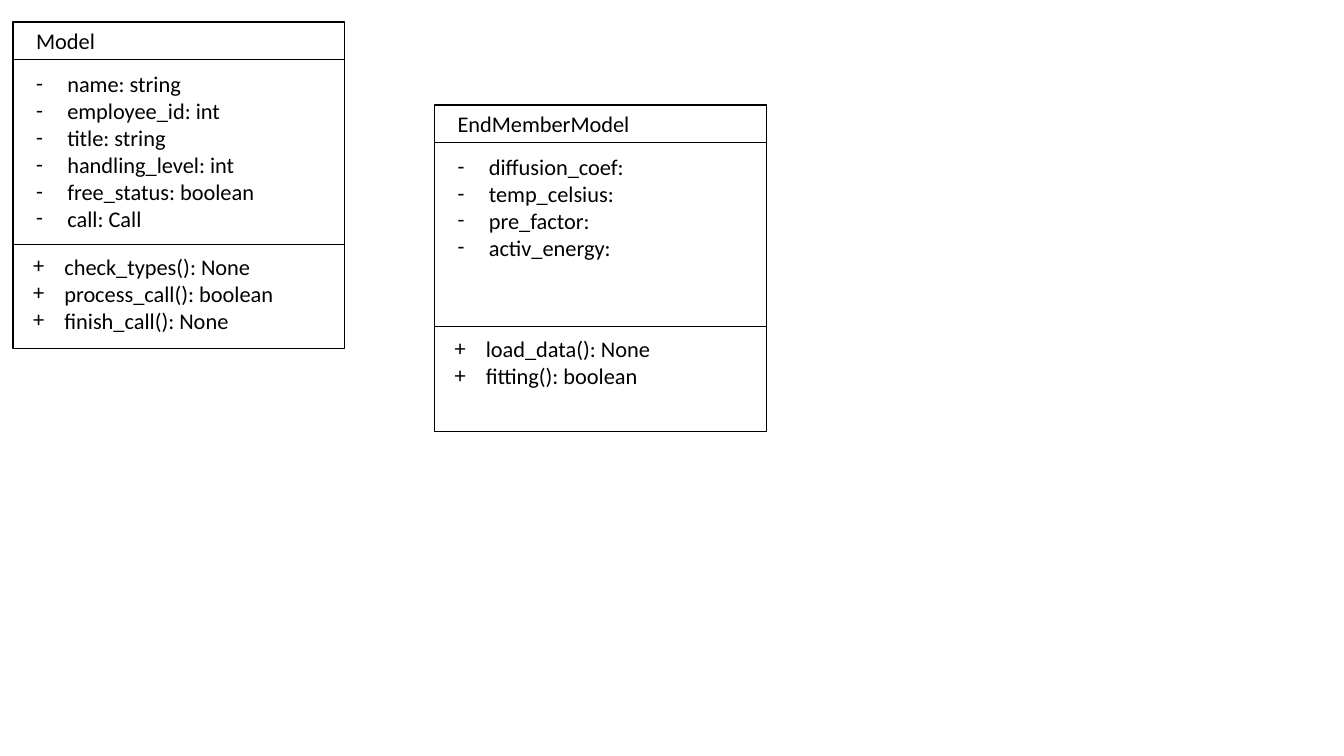
import pptx
import pptx.util
import pptx.dml.color
import pptx.enum.shapes
import pptx.enum.text
import pptx.oxml.ns
from lxml import etree

Inches = pptx.util.Inches
Pt = pptx.util.Pt
qn = pptx.oxml.ns.qn


def rgb(value):
    return pptx.dml.color.RGBColor.from_string(value)


def add_lines(left, top, width, height, lines, bullet=None):
    tb = s.shapes.add_textbox(Inches(left), Inches(top), Inches(width), Inches(height))
    tf = tb.text_frame
    tf.text = "\n".join(lines)
    tf.word_wrap = True
    tf.auto_size = pptx.enum.text.MSO_AUTO_SIZE.SHAPE_TO_FIT_TEXT
    for p in tf.paragraphs:
        for r in p.runs:
            r.font.name = "Calibri"
            r.font.size = Pt(16)
            r.font.color.rgb = rgb("000000")
        if bullet:
            pPr = p._p.get_or_add_pPr()
            pPr.set("marL", str(Inches(0.31)))
            pPr.set("indent", str(-Inches(0.31)))
            etree.SubElement(pPr, qn("a:buFont")).set("typeface", "Calibri")
            etree.SubElement(pPr, qn("a:buChar")).set("char", bullet)


prs = pptx.Presentation()
prs.slide_width = Inches(13.33)
prs.slide_height = Inches(7.5)
s = prs.slides.add_slide(prs.slide_layouts[6])

# Class boxes: left, top, then (lines, text width, text height) per compartment
classes = [
    (0.13, 0.22,
     (["Model"], 0.79, 0.37),
     (["name: string", "employee_id: int", "title: string",
       "handling_level: int", "free_status: boolean", "call: Call"], 2.4, 1.72),
     (["check_types(): None", "process_call(): boolean", "finish_call(): None"], 2.62, 0.91)),
    (4.31, 1.04,
     (["EndMemberModel"], 1.93, 0.37),
     (["diffusion_coef:", "temp_celsius:", "pre_factor:", "activ_energy:"], 1.88, 1.18),
     (["load_data(): None", "fitting(): boolean"], 2.17, 0.64)),
]
BOX_W, BOX_H = 3.29, 3.24

for left, top, title, attributes, methods in classes:
    # Name and attributes
    add_lines(left + 0.13, top, title[1], title[2], title[0])
    add_lines(left + 0.13, top + 0.43, attributes[1], attributes[2], attributes[0], "-")

    # Frame with two dividers
    group = s.shapes.add_group_shape()
    frame = group.shapes.add_shape(pptx.enum.shapes.MSO_SHAPE.RECTANGLE,
                                   Inches(left), Inches(top), Inches(BOX_W), Inches(BOX_H))
    frame.shadow.inherit = False
    frame.fill.background()
    frame.line.color.rgb = rgb("000000")
    frame.line.width = Pt(1)
    for offset in (0.37, 2.2):
        y = Inches(top + offset)
        divider = group.shapes.add_connector(pptx.enum.shapes.MSO_CONNECTOR.STRAIGHT,
                                             Inches(left), y, Inches(left + BOX_W), y)
        divider.line.color.rgb = rgb("000000")
        divider.line.width = Pt(0.5)
        etree.SubElement(divider._element.spPr, qn("a:effectLst"))

    # Methods
    add_lines(left + 0.1, top + 2.24, methods[1], methods[2], methods[0], "+")

prs.save("out.pptx")
